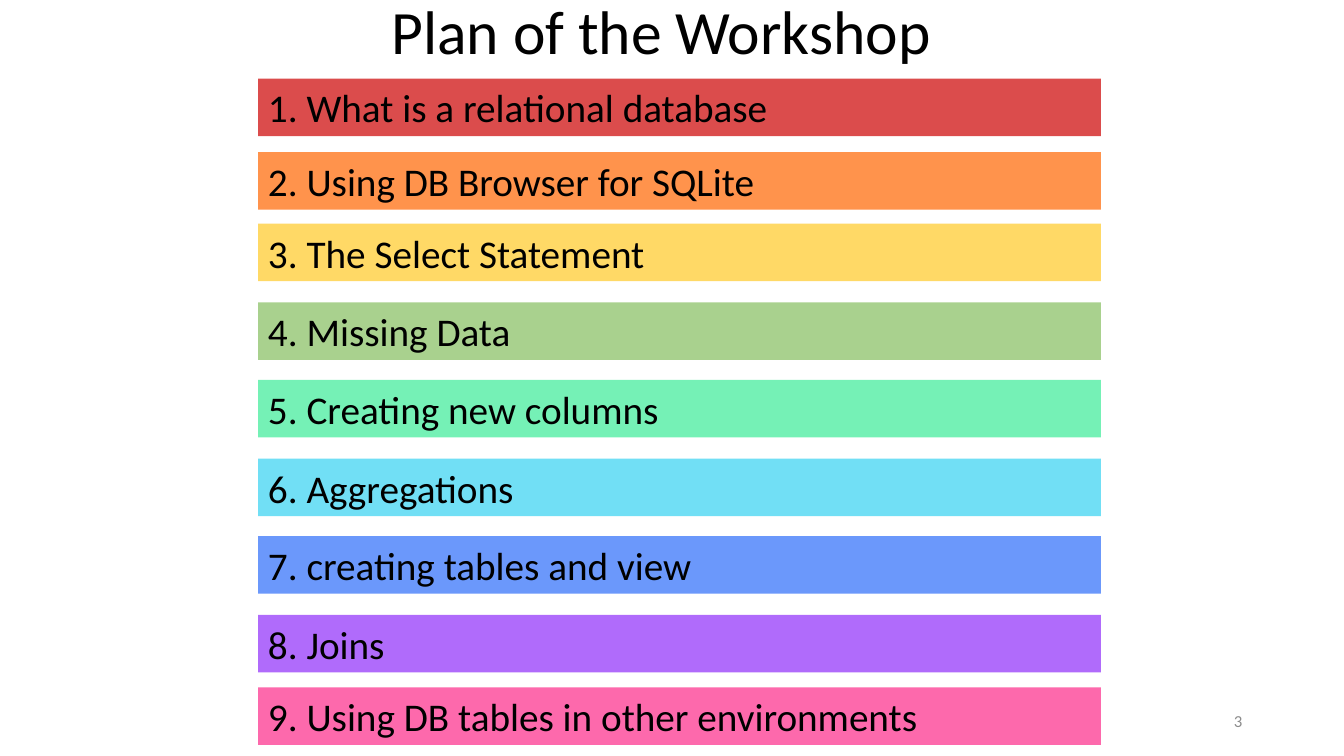
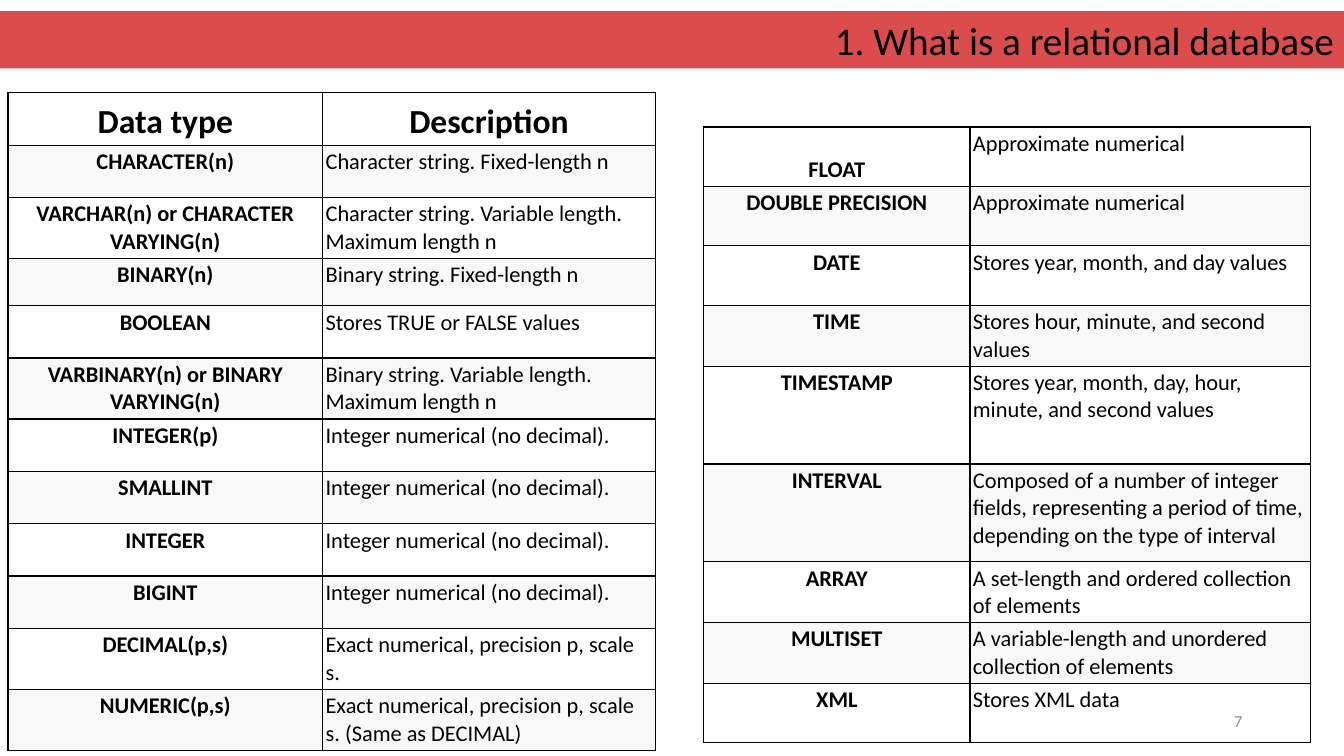
from lxml import etree
from pptx import Presentation
from pptx import util as u
from pptx.dml.color import RGBColor
from pptx.enum import shapes, text
from pptx.oxml import ns

PX = u.Inches(1) // 100
FONT = "Calibri"
BLACK, WHITE, STRIPE, GREY = "000000", "FFFFFF", "F9F9F9", "8C8C8C"
LEFT, CENTER, RIGHT = text.PP_ALIGN.LEFT, text.PP_ALIGN.CENTER, text.PP_ALIGN.RIGHT
TOP, MIDDLE, BOTTOM = text.MSO_ANCHOR.TOP, text.MSO_ANCHOR.MIDDLE, text.MSO_ANCHOR.BOTTOM
SLIDE_WIDTH, SLIDE_HEIGHT = 1333, 750
BAND_HEIGHT = 57

# Heading, colour, opacity in percent, top
SECTIONS = [
    ("1. What is a relational database", "CC0000", 70, 78),
    ("2. Using DB Browser for SQLite", "FF6600", 70, 151),
    ("3. The Select Statement", "FFD966", 100, 222),
    ("4. Missing Data", "A9D18E", 100, 300),
    ("5. Creating new columns", "75F1B6", 100, 377),
    ("6. Aggregations", "71DFF5", 100, 455),
    ("7. creating tables and view", "6B98FB", 100, 532),
    ("8. Joins", "B06BFB", 100, 610),
    ("9. Using DB tables in other environments", "FD69AC", 100, 682),
]

BASIC_TYPES = [
    ("Data type", "Description"),
    ("CHARACTER(n)", "Character string. Fixed-length n"),
    ("VARCHAR(n) or CHARACTER VARYING(n)",
     "Character string. Variable length. Maximum length n"),
    ("BINARY(n)", "Binary string. Fixed-length n"),
    ("BOOLEAN", "Stores TRUE or FALSE values"),
    ("VARBINARY(n) or BINARY VARYING(n)",
     "Binary string. Variable length. Maximum length n"),
    ("INTEGER(p)", "Integer numerical (no decimal)."),
    ("SMALLINT", "Integer numerical (no decimal)."),
    ("INTEGER", "Integer numerical (no decimal)."),
    ("BIGINT", "Integer numerical (no decimal)."),
    ("DECIMAL(p,s)", "Exact numerical, precision p, scale s."),
    ("NUMERIC(p,s)", "Exact numerical, precision p, scale s. (Same as DECIMAL)"),
]

OTHER_TYPES = [
    ("FLOAT", "Approximate numerical"),
    ("DOUBLE PRECISION", "Approximate numerical"),
    ("DATE", "Stores year, month, and day values"),
    ("TIME", "Stores hour, minute, and second values"),
    ("TIMESTAMP", "Stores year, month, day, hour, minute, and second values"),
    ("INTERVAL", "Composed of a number of integer fields, representing a period "
                 "of time, depending on the type of interval"),
    ("ARRAY", "A set-length and ordered collection of elements"),
    ("MULTISET", "A variable-length and unordered collection of elements"),
    ("XML", "Stores XML data"),
]


def rgb(hex_colour):
    return RGBColor.from_string(hex_colour)


def emu(*lengths):
    return [length * PX for length in lengths]


def write(frame, words, size=28, colour=BLACK, bold=False, align=LEFT, spacing=1.0):
    paragraph = frame.paragraphs[0]
    paragraph.alignment = align
    paragraph.line_spacing = spacing
    run = paragraph.add_run()
    run.text = words
    run.font.name = FONT
    run.font.size = u.Pt(size)
    run.font.bold = bold
    run.font.color.rgb = rgb(colour)


def write_in_box(shape, words, **formatting):
    """Write vertically centred, wrapped text in a shape of fixed size."""
    frame = shape.text_frame
    frame.word_wrap = True
    frame.auto_size = text.MSO_AUTO_SIZE.NONE
    frame.vertical_anchor = MIDDLE
    write(frame, words, **formatting)


def paint(shape, colour, opacity):
    shape.fill.solid()
    shape.fill.fore_color.rgb = rgb(colour)
    if opacity < 100:
        tint = shape.element.spPr.find(ns.qn("a:solidFill")).find(ns.qn("a:srgbClr"))
        etree.SubElement(tint, ns.qn("a:alpha")).set("val", str(opacity * 1000))


def add_title(slide, box, words, **formatting):
    title = slide.shapes.title
    title.left, title.top, title.width, title.height = emu(*box)
    write_in_box(title, words, **formatting)
    return title


def add_section_band(slide, box, heading, colour, opacity):
    band = slide.shapes.add_shape(shapes.MSO_SHAPE.RECTANGLE, *emu(*box))
    band.shadow.inherit = False
    band.line.fill.background()
    paint(band, colour, opacity)
    write_in_box(band, heading)


def add_page_number(slide, number):
    footer = slide.shapes.add_textbox(*emu(942, 695, 300, 40))
    write_in_box(footer, str(number), size=12, colour=GREY, align=RIGHT)


def add_borders(cell):
    properties = cell._tc.get_or_add_tcPr()
    for side in ("lnL", "lnR", "lnT", "lnB"):
        line = etree.SubElement(properties, ns.qn(f"a:{side}"), w=str(u.Pt(1)))
        solid = etree.SubElement(line, ns.qn("a:solidFill"))
        etree.SubElement(solid, ns.qn("a:srgbClr"), val=BLACK)


def format_cell(cell, words, fill, anchor, **formatting):
    cell.margin_left = cell.margin_right = cell.margin_top = cell.margin_bottom = 3 * PX
    cell.vertical_anchor = anchor
    add_borders(cell)
    cell.fill.solid()
    cell.fill.fore_color.rgb = rgb(fill)
    write(cell.text_frame, words, **formatting)


def add_type_table(slide, origin, entries, widths, row_height,
                   other_heights, has_header=False):
    """Place a striped table; other_heights maps row numbers to their heights."""
    heights = [other_heights.get(row, row_height) for row in range(len(entries))]
    box = (*origin, sum(widths), sum(heights))
    table = slide.shapes.add_table(len(entries), len(widths), *emu(*box)).table
    table.first_row = table.horz_banding = False
    for column, width in zip(table.columns, widths):
        column.width = width * PX
    for row, (entry, height) in enumerate(zip(entries, heights)):
        table.rows[row].height = height * PX
        is_header = has_header and row == 0
        for column, words in enumerate(entry):
            is_label = is_header or column == 0
            format_cell(
                table.cell(row, column), words,
                fill=STRIPE if row % 2 else WHITE,
                anchor=BOTTOM if row == 0 and is_label else TOP,
                size=24 if is_header else 16,
                bold=is_label,
                align=CENTER if is_label else LEFT,
            )


def build_plan(slide):
    add_title(slide, (81, 0, 1150, 73), "Plan of the Workshop",
              size=44, align=CENTER, spacing=0.8)
    for heading, colour, opacity, top in SECTIONS:
        add_section_band(slide, (256, top, 836, BAND_HEIGHT), heading, colour, opacity)
    add_page_number(slide, 3)


def build_data_types(slide):
    heading, colour, opacity, _ = SECTIONS[0]
    title = add_title(slide, (0, 11, SLIDE_WIDTH, BAND_HEIGHT), heading, align=RIGHT)
    paint(title, colour, opacity)
    add_type_table(slide, (698, 126), OTHER_TYPES, (264, 338), 59, {4: 97, 5: 97})
    add_type_table(slide, (8, 92), BASIC_TYPES, (312, 330), 52, {3: 47}, has_header=True)
    add_page_number(slide, 7)


def main():
    deck = Presentation()
    deck.slide_width, deck.slide_height = emu(SLIDE_WIDTH, SLIDE_HEIGHT)
    title_only = deck.slide_layouts[5]
    for build in (build_plan, build_data_types):
        build(deck.slides.add_slide(title_only))
    deck.save("out.pptx")


if __name__ == "__main__":
    main()
